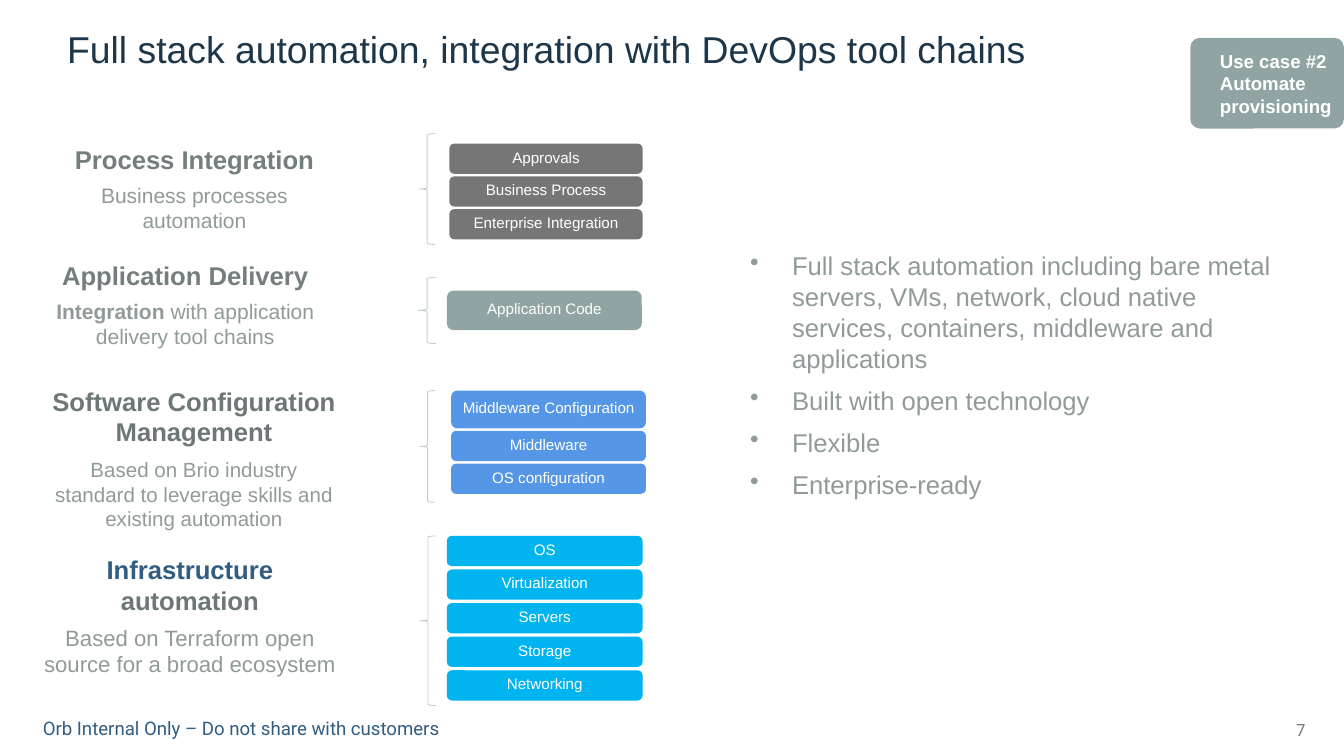
from dataclasses import dataclass

import pptx
import pptx.dml.color
import pptx.enum.shapes
import pptx.enum.text
import pptx.oxml.ns
import pptx.util
from lxml import etree

Inches = pptx.util.Inches
Pt = pptx.util.Pt
Shape = pptx.enum.shapes.MSO_SHAPE
Align = pptx.enum.text.PP_ALIGN
Anchor = pptx.enum.text.MSO_ANCHOR


@dataclass(frozen=True)
class Theme:
    font: str = "Arial"
    footer_font: str = "Roboto"
    white: str = "FFFFFF"
    navy: str = "1D3649"
    blue: str = "325C80"
    slate: str = "6D7777"
    heading: str = "747E7E"
    body: str = "919A9A"
    brace: str = "C3CECE"
    process: str = "777677"
    delivery: str = "90A4A4"
    software: str = "5596E6"
    infrastructure: str = "00B4F0"
    title_size: float = 32
    heading_size: float = 22
    label_size: float = 13
    badge_size: float = 16
    footer_size: float = 16
    number_size: float = 14.4


THEME = Theme()
NARROW = (0.1, 0.05, 0.1, 0.05)
WIDE = (0.16, 0.08, 0.16, 0.08)

STAGES = [
    dict(box=(0.51, 1.66, 3.61, 1.3), insets=NARROW,
         heading=[("Process Integration", THEME.heading)],
         body=[("Business processes automation", False)], body_size=18, gap=7,
         brace=(4.99, 1.59, 0.19, 1.32), stack=(5.35, 1.71, 2.3), fill=THEME.process,
         layers=[("Approvals", 0.36), ("Business Process", 0.36), ("Enterprise Integration", 0.36)],
         spacing=0.03),
    dict(box=(0.4, 3.01, 3.61, 1.3), insets=WIDE,
         heading=[("Application Delivery", THEME.heading)],
         body=[("Integration", True), (" with application delivery tool chains", False)],
         body_size=18, gap=7,
         brace=(4.98, 3.3, 0.21, 0.79), stack=(5.32, 3.46, 2.32), fill=THEME.delivery,
         layers=[("Application Code", 0.47)], spacing=0),
    dict(box=(0.48, 4.54, 3.66, 1.67), insets=NARROW,
         heading=[("Software Configuration Management", THEME.slate)],
         body=[("Based on Brio industry standard to leverage skills and existing automation", False)],
         body_size=17.6, gap=8.5,
         brace=(5, 4.65, 0.18, 1.33), stack=(5.37, 4.65, 2.32), fill=THEME.software,
         layers=[("Middleware Configuration", 0.45), ("Middleware", 0.36), ("OS configuration", 0.36)],
         spacing=0.03),
    dict(box=(0.4, 6.55, 3.72, 1.68), insets=NARROW,
         heading=[("Infrastructure ", THEME.blue), ("automation", THEME.slate)],
         body=[("Based on Terraform open source for a broad ecosystem", False)], body_size=19, gap=7,
         brace=(5, 6.38, 0.19, 2.02), stack=(5.32, 6.38, 2.33), fill=THEME.infrastructure,
         layers=[(name, 0.36) for name in ("OS", "Virtualization", "Servers", "Storage", "Networking")],
         spacing=0.04),
]

BENEFITS = [
    "Full stack automation including bare metal servers, VMs, network, cloud native services, "
    "containers, middleware and applications",
    "Built with open technology",
    "Flexible",
    "Enterprise-ready",
]


def color(value):
    return pptx.dml.color.RGBColor.from_string(value)


def set_font(font, size, value, bold=False, name=THEME.font):
    font.name = name
    font.size = Pt(size)
    font.bold = bold
    font.color.rgb = color(value)


def set_frame(shape, insets, anchor):
    frame = shape.text_frame
    frame.word_wrap = True
    frame.vertical_anchor = anchor
    frame.margin_left, frame.margin_top, frame.margin_right, frame.margin_bottom = map(Inches, insets)
    return frame


def add_box(page, box, insets=NARROW, anchor=Anchor.TOP):
    return set_frame(page.shapes.add_textbox(*map(Inches, box)), insets, anchor)


def add_panel(page, kind, box, fill, insets, anchor, corner=None):
    panel = page.shapes.add_shape(kind, *map(Inches, box))
    panel.shadow.inherit = False
    panel.fill.solid()
    panel.fill.fore_color.rgb = color(fill)
    panel.line.fill.background()
    if corner is not None:
        panel.adjustments[0] = corner
    return set_frame(panel, insets, anchor)


def add_line(page, box, text, size, value, name, insets, anchor, align=Align.LEFT):
    para = add_box(page, box, insets, anchor).paragraphs[0]
    para.text = text
    para.alignment = align
    set_font(para.font, size, value, name=name)
    return para


def add_description(page, stage):
    frame = add_box(page, stage["box"], stage["insets"])
    heading = frame.paragraphs[0]
    body = frame.add_paragraph()
    heading.alignment = body.alignment = Align.CENTER
    body.space_before = Pt(stage["gap"])
    set_font(heading.font, THEME.heading_size, stage["heading"][0][1], True)
    set_font(body.font, stage["body_size"], THEME.body)
    for text, value in stage["heading"]:
        span = heading.add_run()
        span.text = text
        span.font.color.rgb = color(value)
    for text, bold in stage["body"]:
        span = body.add_run()
        span.text = text
        span.font.bold = bold


def add_stack(page, stage):
    left, top, width = stage["stack"]
    for name, height in stage["layers"]:
        frame = add_panel(page, Shape.ROUNDED_RECTANGLE, (left, top, width, height), stage["fill"],
                          stage["insets"], Anchor.MIDDLE, 0.167)
        para = frame.paragraphs[0]
        para.text = name
        para.alignment = Align.CENTER
        para.line_spacing = 0.8
        set_font(para.font, THEME.label_size, THEME.white)
        top += height + stage["spacing"]


def add_stage(page, stage):
    add_description(page, stage)
    brace = page.shapes.add_shape(Shape.LEFT_BRACE, *map(Inches, stage["brace"]))
    brace.shadow.inherit = False
    brace.fill.background()
    brace.line.color.rgb = color(THEME.brace)
    brace.line.width = Pt(0.75)
    add_stack(page, stage)


def add_benefits(page, box):
    frame = add_panel(page, Shape.RECTANGLE, box, THEME.white, WIDE, Anchor.TOP)
    for index, text in enumerate(BENEFITS):
        para = frame.add_paragraph() if index else frame.paragraphs[0]
        para.text = text
        para.alignment = Align.LEFT
        if index:
            para.space_before = Pt(9.6)
        props = para._p.get_or_add_pPr()
        props.set("marL", str(Inches(0.5)))
        props.set("indent", str(-Inches(0.5)))
        etree.SubElement(props, pptx.oxml.ns.qn("a:buChar"), char="•")
        set_font(para.font, THEME.heading_size, THEME.body)


def add_badge(page, box):
    frame = add_panel(page, Shape.ROUNDED_RECTANGLE, box, THEME.delivery,
                      (0.32, 0.08, 0, 0.08), Anchor.MIDDLE, 0.105)
    frame.text = "Use case #2\nAutomate provisioning"
    for para in frame.paragraphs:
        para.alignment = Align.LEFT
        set_font(para.font, THEME.badge_size, THEME.white, True)


def main():
    deck = pptx.Presentation()
    deck.slide_width, deck.slide_height = Inches(16), Inches(9)
    page = deck.slides.add_slide(deck.slide_layouts[6])
    title = add_line(page, (0.8, 0.03, 14.4, 0.82),
                     "Full stack automation, integration with DevOps tool chains",
                     THEME.title_size, THEME.navy, THEME.font, (0, 0.05, 0.1, 0), Anchor.BOTTOM)
    title.line_spacing = 0.85
    for stage in STAGES:
        add_stage(page, stage)
    add_benefits(page, (8.77, 2.9, 6.9, 3.94))
    add_badge(page, (14.17, 0.45, 1.83, 1.08))
    add_line(page, (0.51, 8.54, 5.07, 0.27), "Orb Internal Only – Do not share with customers",
             THEME.footer_size, THEME.blue, THEME.footer_font, (0, 0, 0, 0), Anchor.TOP)
    add_line(page, (14.94, 8.45, 0.7, 0.48), "7", THEME.number_size, THEME.slate,
             THEME.footer_font, NARROW, Anchor.MIDDLE, Align.RIGHT)
    deck.save("out.pptx")


if __name__ == "__main__":
    main()
